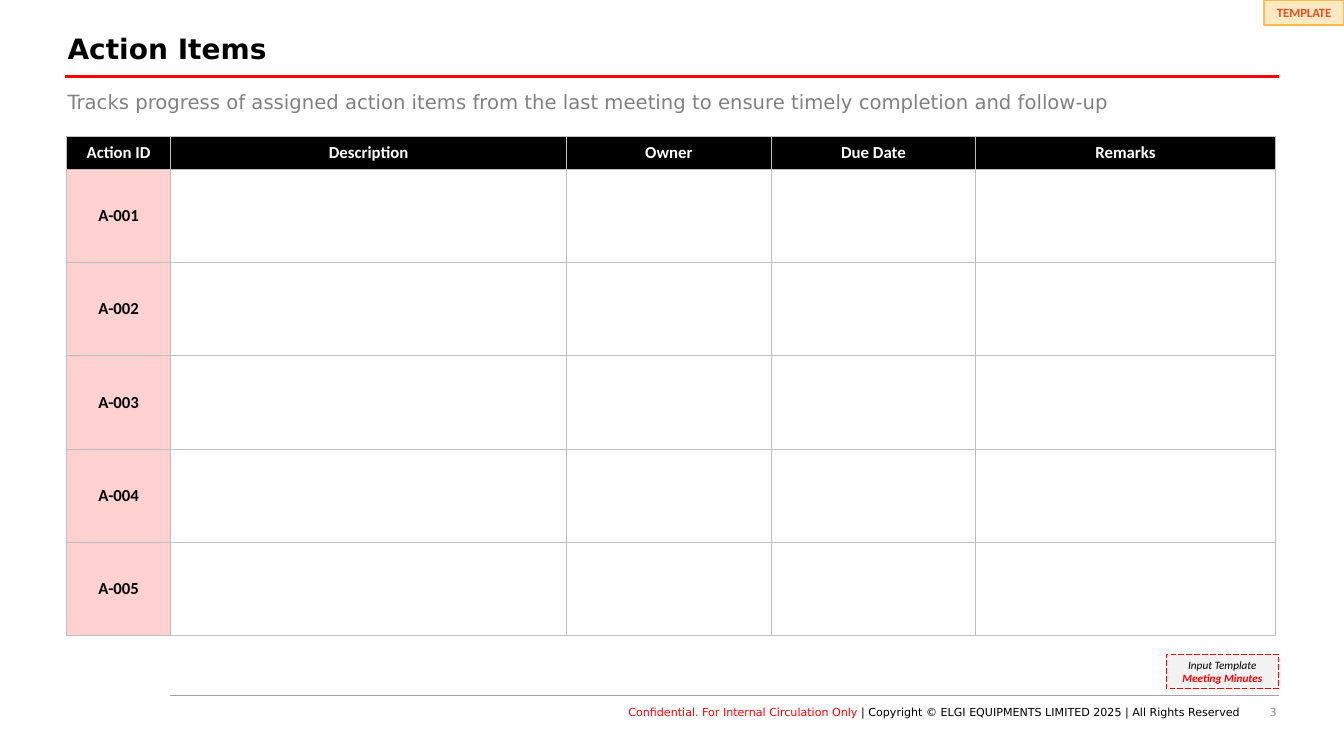
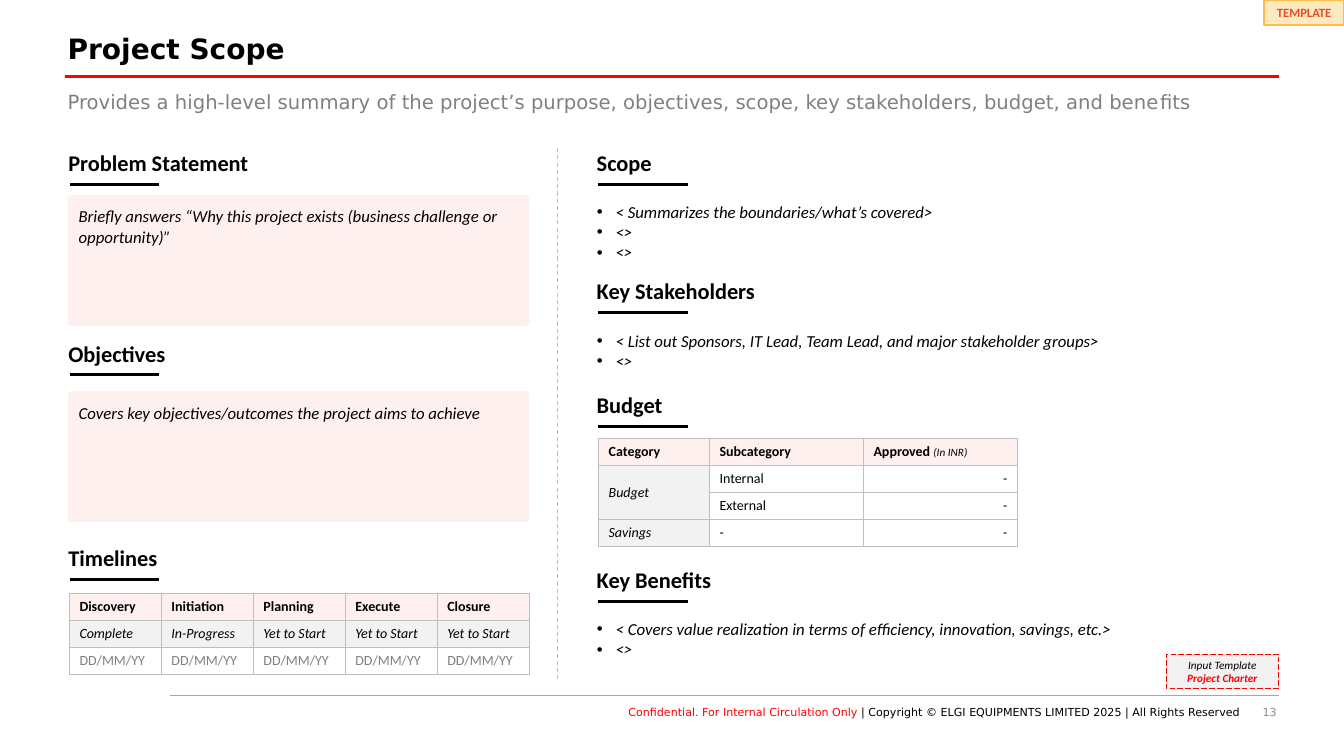
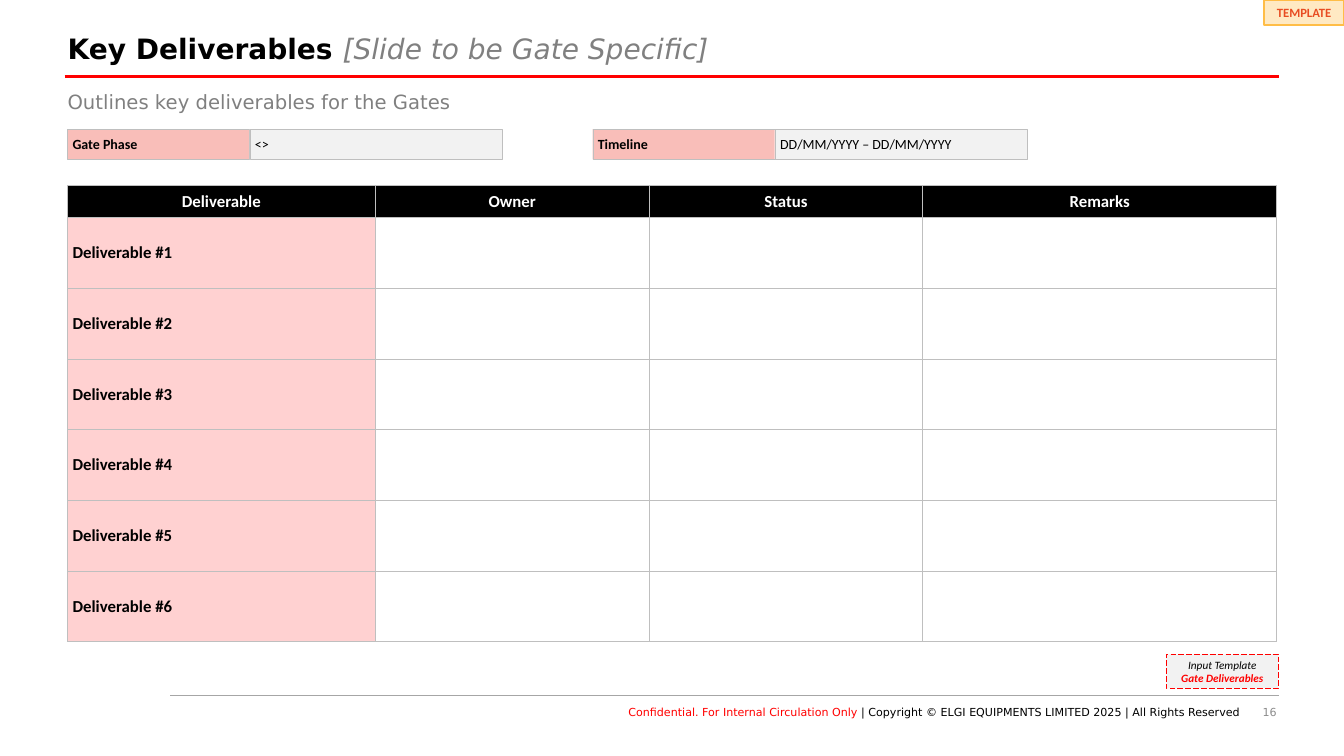
from lxml import etree
from pptx import Presentation
from pptx.dml.color import RGBColor
from pptx.enum.dml import MSO_LINE as Dash
from pptx.enum.shapes import MSO_CONNECTOR, MSO_SHAPE as Preset
from pptx.enum.text import MSO_ANCHOR as Anchor, PP_ALIGN as Align
from pptx.oxml.ns import qn
from pptx.util import Pt

COLOURS = {
    "black": "000000", "white": "FFFFFF", "red": "FF0000",
    "grey": "808080", "number": "8C8C8C", "rule": "A6A6A6",
    "border": "BFBFBF", "pale": "F2F2F2", "blush": "FFF0F0",
    "pink": "FFD1D1", "salmon": "F9BEB9", "amber": "FFBD47", "orange": "E84C22",
}
RGB = {name: RGBColor.from_string(value) for name, value in COLOURS.items()}
TITLE_FONT = "DejaVu Sans"
LEFT, RIGHT = 48.24, 913.7


def write(paragraph, runs, align=Align.LEFT, font="Calibri"):
    """Fill a paragraph; each run is (text, size, colour, style letters b and i)."""
    paragraph.alignment = align
    for text, size, colour, style in runs:
        run = paragraph.add_run()
        run.text = text
        run.font.name = font
        run.font.size = Pt(size)
        run.font.color.rgb = RGB[colour]
        run.font.bold = "b" in style
        run.font.italic = "i" in style


def draw_box(slide, at, paragraphs, preset=None, fill=None, line=None,
             margins=(7.2, 3.6, 7.2, 3.6), anchor=Anchor.TOP, **text_style):
    """Draw a text box, or a preset shape; line is (colour, width, dash)."""
    place = [Pt(value) for value in at]
    if preset is None:
        shape = slide.shapes.add_textbox(*place)
    else:
        shape = slide.shapes.add_shape(preset, *place)
        shape.shadow.inherit = False
        shape.fill.solid()
        shape.fill.fore_color.rgb = RGB[fill]
        if line:
            colour, width, dash = line
            shape.line.color.rgb = RGB[colour]
            shape.line.width = Pt(width)
            shape.line.dash_style = dash
        else:
            shape.line.fill.background()
    frame = shape.text_frame
    frame.word_wrap = True
    frame.vertical_anchor = anchor
    (frame.margin_left, frame.margin_top,
     frame.margin_right, frame.margin_bottom) = [Pt(value) for value in margins]
    for index, runs in enumerate(paragraphs):
        paragraph = frame.add_paragraph() if index else frame.paragraphs[0]
        write(paragraph, runs, **text_style)
    return shape


presentation = Presentation()
presentation.slide_width, presentation.slide_height = Pt(960), Pt(540)
blank = presentation.slide_layouts[6]

# Parts shared by all slides: number, title runs, subtitle, template name
pages = [
    (3, [("Action Items", 20, "black", "b")],
     "Tracks progress of assigned action items from the last meeting to ensure "
     "timely completion and follow-up", "Meeting Minutes"),
    (13, [("Project Scope", 20, "black", "b")],
     "Provides a high-level summary of the project’s purpose, objectives, scope, "
     "key stakeholders, budget, and benefits", "Project Charter"),
    (16, [("Key Deliverables ", 20, "black", "b"),
          ("[Slide to be Gate Specific]", 20, "grey", "i")],
     "Outlines key deliverables for the Gates", "Gate Deliverables"),
]
footer = [("Conﬁdential. For Internal Circulation Only ", 7.9, "red", ""),
          ("| Copyright © ELGI EQUIPMENTS LIMITED 2025 | All Rights Reserved",
           7.9, "black", "")]
title_margins = (0, 3.6, 7.2, 3.6)
lines = []  # slide, start, end, colour, width, dash
for number, title, subtitle, template in pages:
    slide = presentation.slides.add_slide(blank)
    draw_box(slide, (696, 504, 216, 14.4), [[(str(number), 7.9, "number", "")]],
             margins=(0, 0, 0, 0), align=Align.RIGHT, font=TITLE_FONT)
    draw_box(slide, (177, 504, 708.6, 14.4), [footer],
             margins=(0, 0, 0, 0), align=Align.RIGHT, font=TITLE_FONT)
    for top, runs in ((21.6, title), (62.64, [(subtitle, 14, "grey", "")])):
        heading = draw_box(slide, (LEFT, top, 833.76, 28.8), [runs],
                           margins=title_margins, font=TITLE_FONT)
        heading.text_frame.paragraphs[0].line_spacing = 0.9
    badge = draw_box(slide, (903, 0, 57, 18), [[("TEMPLATE", 9, "orange", "b")]],
                     Preset.RECTANGLE, "amber", ("amber", 1.5, None),
                     margins=(0, 0, 0, 0), anchor=Anchor.MIDDLE, align=Align.CENTER)
    badge_colour = badge._element.spPr.find(qn("a:solidFill"))[0]
    etree.SubElement(badge_colour, qn("a:alpha")).set("val", "32000")
    draw_box(slide, (833.2, 467.4, 80, 24.4),
             [[("Input Template", 8, "black", "i")], [(template, 8, "red", "bi")]],
             Preset.RECTANGLE, "pale", ("red", 0.5, Dash.LONG_DASH),
             margins=(7.2, 0, 7.2, 0), anchor=Anchor.MIDDLE, align=Align.CENTER)
    lines += [(slide, (121.7, 496.8), (RIGHT, 496.8), "rule", 0.5, None),
              (slide, (46.1, 54.7), (RIGHT, 54.7), "red", 2.25, None)]
actions, scope, deliverables = presentation.slides

# Project scope: headings with short rules, panels and bullet lists
lines.append((scope, (398.2, 105.8), (398.2, 485.3), "border", 0.75, Dash.DASH))
sections = [
    (41.76, 97.2, "Problem Statement"), (41.76, 233.3, "Objectives"),
    (41.76, 379.4, "Timelines"), (419.2, 97.2, "Scope"),
    (419.2, 188.6, "Key Stakeholders"), (419.2, 270, "Budget"),
    (419.2, 395.3, "Key Benefits"),
]
for left, top, name in sections:
    heading = draw_box(scope, (left, top, 200, 30.2), [[(name, 16, "black", "b")]])
    heading.text_frame.paragraphs[0].line_spacing = 1.3
    rule_left, rule_top = left + 8.1, top + 34.5
    lines.append((scope, (rule_left, rule_top), (rule_left + 64, rule_top),
                  "black", 2.25, None))

body_margins = (7.2, 7.2, 7.2, 3.6)
panels = [
    (139.2, "Briefly answers “Why this project exists (business challenge or opportunity)”"),
    (279.4, "Covers key objectives/outcomes the project aims to achieve"),
]
for top, text in panels:
    panel = draw_box(scope, (LEFT, top, 329.8, 93.6), [[(text, 12, "black", "i")]],
                     Preset.ROUNDED_RECTANGLE, "blush", margins=body_margins)
    panel.adjustments[0] = 0.03

bullet_lists = [
    (137, ["< Summarizes the boundaries/what’s covered>", "<>", "<>"]),
    (228.8, ["< List out Sponsors, IT Lead, Team Lead, and major stakeholder groups>", "<>"]),
    (435, ["< Covers value realization in terms of efficiency, innovation, savings, etc.>",
           "<>"]),
]
for top, items in bullet_lists:
    bullets = draw_box(scope, (419.2, top, 483.8, 11 + 14.6 * len(items)),
                       [[(item, 12, "black", "i")] for item in items],
                       margins=body_margins)
    for paragraph in bullets.text_frame.paragraphs:
        properties = paragraph._p.get_or_add_pPr()
        properties.set("marL", str(Pt(13.5)))
        properties.set("indent", str(-Pt(13.5)))
        etree.SubElement(properties, qn("a:buFont")).set("typeface", "Arial")
        etree.SubElement(properties, qn("a:buChar")).set("char", "•")

# Key deliverables: label and value pairs
for left, label, value in ((LEFT, "Gate Phase", "<>"),
                           (423.4, "Timeline", "DD/MM/YYYY – DD/MM/YYYY")):
    for offset, width, text, fill, style in ((0, 130, label, "salmon", "b"),
                                             (130.3, 180, value, "pale", "")):
        draw_box(deliverables, (left + offset, 92.2, width, 21.6),
                 [[(text, 10, "black", style)]], Preset.RECTANGLE, fill,
                 ("border", 0.25, None), margins=(3.6, 3.6, 3.6, 3.6),
                 anchor=Anchor.MIDDLE)

# Tables: every cell is (runs, fill, alignment)
empty = ([], None, Align.LEFT)
trackers = []
for headers, labels, label_align in (
    (["Action ID", "Description", "Owner", "Due Date", "Remarks"],
     [f"A-{index:03}" for index in range(1, 6)], Align.CENTER),
    (["Deliverable", "Owner", "Status", "Remarks"],
     [f"Deliverable #{index}" for index in range(1, 7)], Align.LEFT),
):
    rows = [[([(text, 12, "white", "b")], "black", Align.CENTER) for text in headers]]
    for label in labels:
        label_cell = ([(label, 12, "black", "b")], "pink", label_align)
        rows.append([label_cell] + [empty] * (len(headers) - 1))
    trackers.append(rows)
action_rows, deliverable_rows = trackers

timeline_rows = [
    [([(text, 10, colour, style)], fill, Align.LEFT) for text in texts]
    for texts, colour, style, fill in (
        (["Discovery", "Initiation", "Planning", "Execute", "Closure"],
         "black", "b", "blush"),
        (["Complete", "In-Progress"] + ["Yet to Start"] * 3, "black", "i", "pale"),
        (["DD/MM/YY"] * 5, "grey", "", None),
    )
]
budget_rows = [[
    ([("Category", 10, "black", "b")], "blush", Align.LEFT),
    ([("Subcategory", 10, "black", "b")], "blush", Align.LEFT),
    ([("Approved ", 10, "black", "b"), ("(In INR)", 8, "black", "i")],
     "blush", Align.LEFT),
]]
for category, subcategory in (("Budget", "Internal"), ("", "External"), ("Savings", "-")):
    budget_rows.append([
        ([(category, 10, "black", "i")] if category else [], "pale", Align.LEFT),
        ([(subcategory, 10, "black", "")], None, Align.LEFT),
        ([("-", 10, "black", "")], None, Align.RIGHT),
    ])

# slide, left, top, column widths, header height, row height, side margin, border, rows
tables = [
    (actions, 47.5, 97.4, [74.5, 282.8, 146, 146.3, 213.8], 23.6, 66.6, 3.6, 0.75,
     action_rows),
    (scope, 49.6, 424, [65.7] * 5, 19.3, 19.3, 7.2, 0.5, timeline_rows),
    (scope, 427.6, 313.2, [79.2, 110, 110], 19.3, 19.3, 7.2, 0.5, budget_rows),
    (deliverables, LEFT, 132.5, [219.8, 195.6, 195.6, 252.6], 23, 50.5, 3.6, 0.75,
     deliverable_rows),
]
for (slide, left, top, widths, header_height, row_height,
     side_margin, border_width, rows) in tables:
    height = header_height + row_height * (len(rows) - 1)
    table = slide.shapes.add_table(len(rows), len(widths), Pt(left), Pt(top),
                                   Pt(sum(widths)), Pt(height)).table
    table.first_row = table.horz_banding = False
    for column, width in zip(table.columns, widths):
        column.width = Pt(width)
    for row_index, row in enumerate(rows):
        table.rows[row_index].height = Pt(row_height if row_index else header_height)
        for column_index, (runs, fill, align) in enumerate(row):
            cell = table.cell(row_index, column_index)
            cell.vertical_anchor = Anchor.MIDDLE
            cell.margin_left = cell.margin_right = Pt(side_margin)
            cell.margin_top = cell.margin_bottom = Pt(3.6)
            write(cell.text_frame.paragraphs[0], runs, align)
            properties = cell._tc.get_or_add_tcPr()
            for side in ("a:lnL", "a:lnR", "a:lnT", "a:lnB"):
                border = etree.SubElement(properties, qn(side), w=str(Pt(border_width)))
                border_fill = etree.SubElement(border, qn("a:solidFill"))
                etree.SubElement(border_fill, qn("a:srgbClr"), val=COLOURS["border"])
            if fill:
                cell.fill.solid()
                cell.fill.fore_color.rgb = RGB[fill]
            else:
                cell.fill.background()
    if rows is budget_rows:
        table.cell(1, 0).merge(table.cell(2, 0))

for slide, start, end, colour, width, dash in lines:
    connector = slide.shapes.add_connector(
        MSO_CONNECTOR.STRAIGHT, *[Pt(value) for value in start + end])
    connector.line.color.rgb = RGB[colour]
    connector.line.width = Pt(width)
    connector.line.dash_style = dash
    etree.SubElement(connector._element.spPr, qn("a:effectLst"))

presentation.save("out.pptx")
